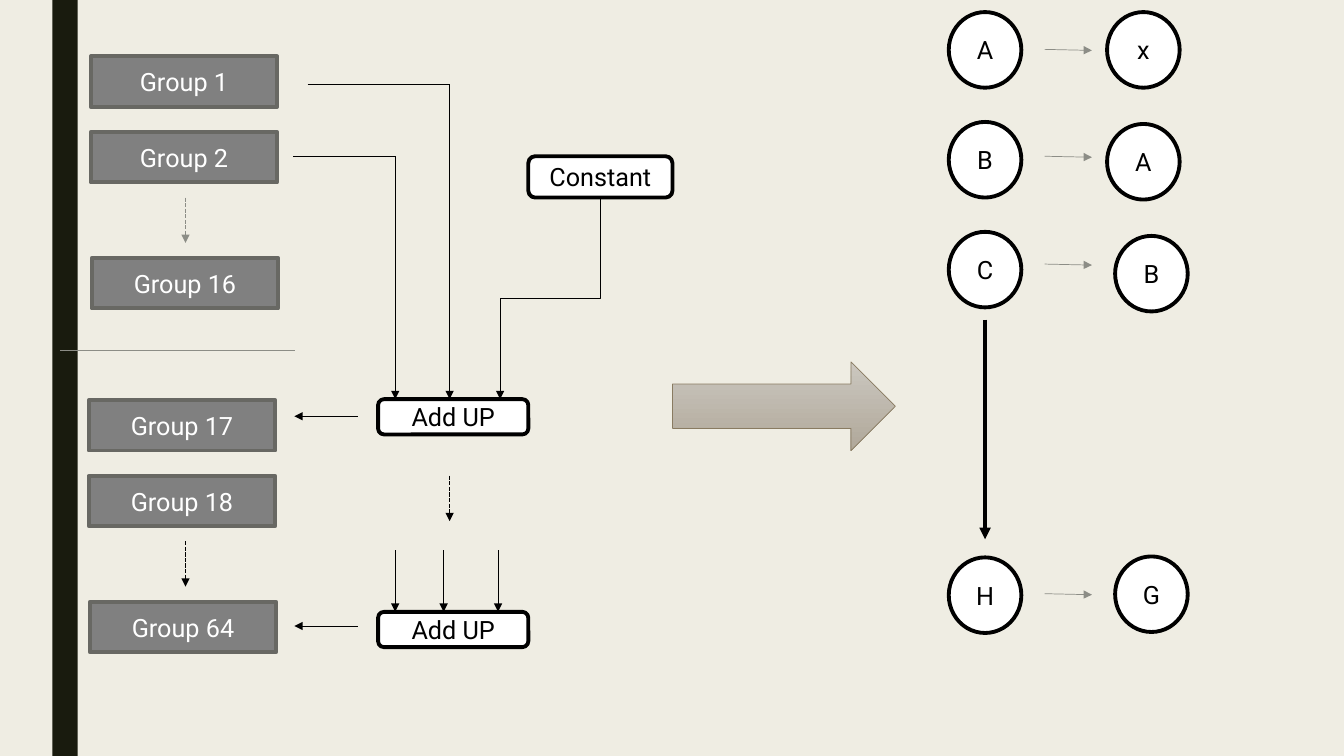
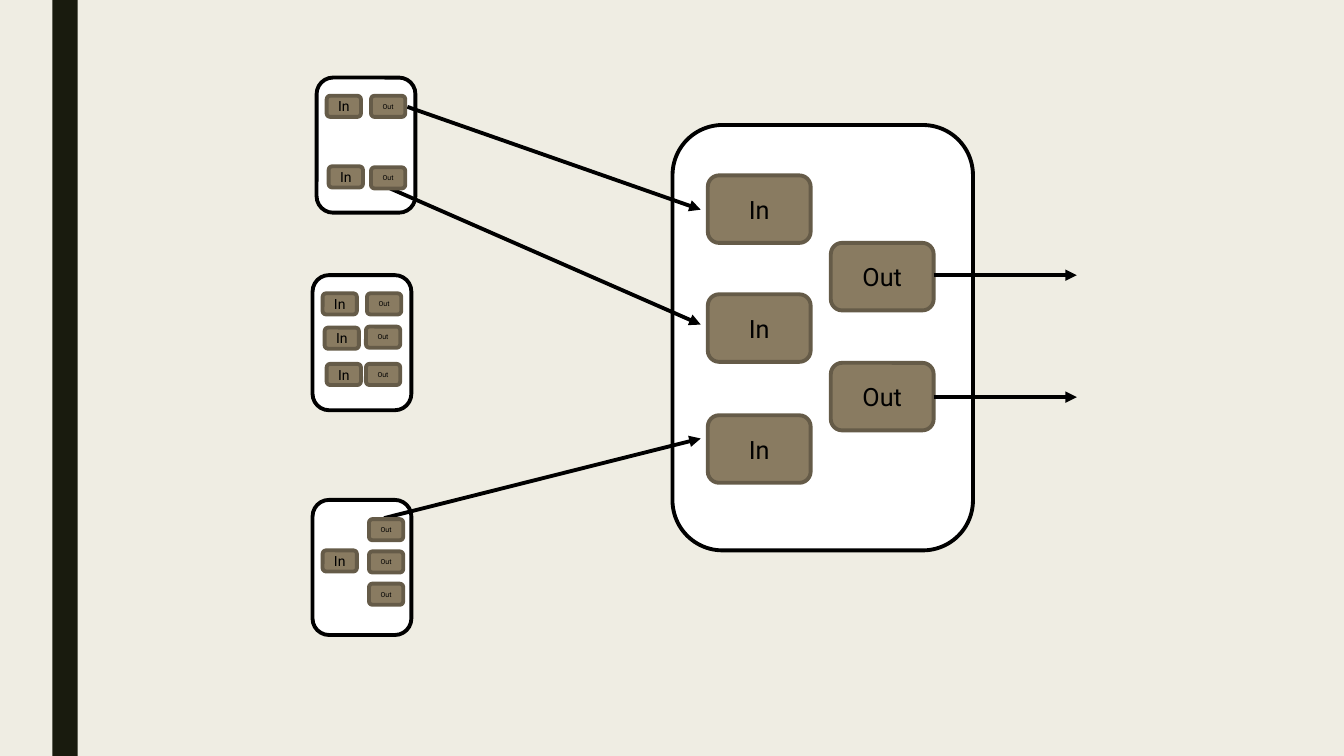
from lxml import etree
from pptx import Presentation
from pptx.dml.color import RGBColor
from pptx.enum.dml import MSO_LINE
from pptx.enum.shapes import MSO_CONNECTOR, MSO_SHAPE
from pptx.enum.text import MSO_ANCHOR, PP_ALIGN
from pptx.oxml.ns import qn
from pptx.util import Pt

RECTANGLE = MSO_SHAPE.RECTANGLE
ROUNDED = MSO_SHAPE.ROUNDED_RECTANGLE
OVAL = MSO_SHAPE.OVAL
RIGHT_ARROW = MSO_SHAPE.RIGHT_ARROW
STRAIGHT, ELBOW = MSO_CONNECTOR.STRAIGHT, MSO_CONNECTOR.ELBOW
SHORT_DASH = MSO_LINE.SQUARE_DOT
CENTER, MIDDLE = PP_ALIGN.CENTER, MSO_ANCHOR.MIDDLE

EMU_PER_PX = 9144  # 100 px to the inch
WIDTH, HEIGHT = 1333, 750
FONT = "Roboto"
THICK, DASHED, THIN = 2.75, 1, 0.5
COLORS = {
    "page": "EFEDE3", "band": "191B0E", "black": "000000", "white": "FFFFFF",
    "group": "808080", "group edge": "686863", "gray": "8C8D86",
    "port": "897B61", "port edge": "655B48",
    "arrow top": "CBC7BF", "arrow bottom": "B0A89A",
}
# kind: geometry, fill, outline, text colour
KINDS = {
    "group": (RECTANGLE, "group", "group edge", "white"),
    "panel": (ROUNDED, "white", "black", "black"),
    "node": (OVAL, "white", "black", "black"),
    "port": (ROUNDED, "port", "port edge", "black"),
}


def color(name):
    return RGBColor.from_string(COLORS[name])


def emu(*lengths):
    return [round(length * EMU_PER_PX) for length in lengths]


class Deck:
    def __init__(self):
        self.deck = Presentation()
        self.deck.slide_width, self.deck.slide_height = emu(WIDTH, HEIGHT)
        background = self.deck.slide_master.background.fill
        background.solid()
        background.fore_color.rgb = color("page")
        self.page = None

    def new_page(self):
        """Start a slide with the dark band on its left."""
        self.page = self.deck.slides.add_slide(self.deck.slide_layouts[6])
        band = self.shape(RECTANGLE, 52, 0, 25, HEIGHT)
        band.fill.solid()
        band.fill.fore_color.rgb = color("band")
        band.line.fill.background()

    def shape(self, geometry, left, top, width, height):
        shape = self.page.shapes.add_shape(geometry, *emu(left, top, width, height))
        shape.shadow.inherit = False
        return shape

    def box(self, kind, left, top, width, height, text="", size=18):
        geometry, fill, edge, ink = KINDS[kind]
        box = self.shape(geometry, left, top, width, height)
        box.fill.solid()
        box.fill.fore_color.rgb = color(fill)
        box.line.color.rgb = color(edge)
        box.line.width = Pt(THICK)
        if text:
            self.label(box.text_frame, text, size, ink)

    def label(self, frame, text, size, ink):
        frame.text = text
        frame.margin_left = frame.margin_right = 0
        frame.margin_top = frame.margin_bottom = 0
        frame.vertical_anchor = MIDDLE
        para = frame.paragraphs[0]
        para.alignment = CENTER
        font = para.runs[0].font
        font.name, font.size = FONT, Pt(size)
        font.color.rgb = color(ink)

    def block_arrow(self, left, top, width, height):
        arrow = self.shape(RIGHT_ARROW, left, top, width, height)
        arrow.fill.gradient()
        arrow.fill.gradient_angle = 270
        for stop, name in zip(arrow.fill.gradient_stops, ("arrow top", "arrow bottom")):
            stop.color.rgb = color(name)
        arrow.line.color.rgb = color("port")
        arrow.line.width = Pt(THIN)

    def line(self, start, end, weight=THIN, ink="black", head=True, route=STRAIGHT):
        line = self.page.shapes.add_connector(route, *emu(*start, *end))
        line.line.color.rgb = color(ink)
        line.line.width = Pt(weight)
        if weight == DASHED:
            line.line.dash_style = SHORT_DASH
        properties = line._element.spPr
        if head:
            outline = properties.find(qn("a:ln"))
            etree.SubElement(outline, qn("a:tailEnd"), type="triangle")
        etree.SubElement(properties, qn("a:effectLst"))
        return line

    def elbow_down(self, start, end):
        """Go down, left and down again: an elbow turned by 90 degrees."""
        middle_x, middle_y = (start[0] + end[0]) / 2, (start[1] + end[1]) / 2
        half_run, half_drop = (start[0] - end[0]) / 2, (end[1] - start[1]) / 2
        line = self.line((middle_x - half_drop, middle_y - half_run),
                         (middle_x + half_drop, middle_y + half_run), route=ELBOW)
        line._element.spPr.find(qn("a:xfrm")).set("rot", "5400000")


def groups_page(deck):
    deck.new_page()
    for left, top, number in ((90, 56, 1), (90, 131, 2), (91, 256, 16),
                              (88, 397, 17), (88, 472, 18), (89, 597, 64)):
        deck.box("group", left, top, 185, 50, f"Group {number}")
    for x, top, ink in ((184, 196, "gray"), (184, 537, "black"), (446, 472, "black")):
        deck.line((x, top), (x, top + 45), DASHED, ink)

    for left, right, top in ((305, 446, 84), (291, 392, 155)):
        deck.line((left, top), (right, top), head=False)
        deck.line((right, top), (right, 396))
    deck.box("panel", 524, 155, 143, 41, "Constant")
    deck.elbow_down((595, 196), (496, 396))
    for top, result_y in ((396, 413), (607, 621)):
        deck.box("panel", 375, top, 149, 35, "Add UP")
        deck.line((355, result_y), (292, result_y))
    for x in (392, 440, 494):
        deck.line((x, 546), (x, 607))
    deck.block_arrow(667, 359, 221, 88)

    for top, name, result_left, result_top, result, arrow_y in (
            (12, "A", 1098, 12, "x", 49), (121, "B", 1098, 123, "A", 155),
            (230, "C", 1106, 234, "B", 262), (553, "H", 1106, 552, "G", 589)):
        deck.box("node", 941, top, 72, 75, name)
        deck.box("node", result_left, result_top, 72, 75, result)
        deck.line((1036, arrow_y), (1083, arrow_y + 1), ink="gray")
    deck.line((977, 317), (977, 535), THICK)
    deck.line((60, 348), (293, 348), ink="gray", head=False)


def ports_page(deck):
    deck.new_page()
    deck.box("panel", 667, 124, 298, 422)
    for text, left, tops in (("In", 702, (174, 292, 412)), ("Out", 824, (241, 360))):
        for top in tops:
            deck.box("port", left, top, 102, 67, text)
    for left, top in ((314, 77), (310, 273), (310, 496)):
        deck.box("panel", left, top, 98, 134)
    for start, end in (((387, 187), (695, 322)), ((381, 514), (695, 435)),
                       ((404, 106), (695, 208)), ((926, 273), (1068, 273)),
                       ((926, 394), (1068, 394))):
        deck.line(start, end, THICK)

    small_ports = {
        ("In", 10): ((324, 95), (326, 165), (320, 291), (322, 325), (324, 361),
                     (320, 546)),
        ("Out", 5): ((368, 95), (368, 166), (364, 291), (363, 324), (363, 361),
                     (366, 515), (366, 547), (366, 579)),
    }
    for (text, size), places in small_ports.items():
        for left, top in places:
            deck.box("port", left, top, 34, 21, text, size)


def main():
    deck = Deck()
    groups_page(deck)
    ports_page(deck)
    deck.deck.save("out.pptx")


if __name__ == "__main__":
    main()
